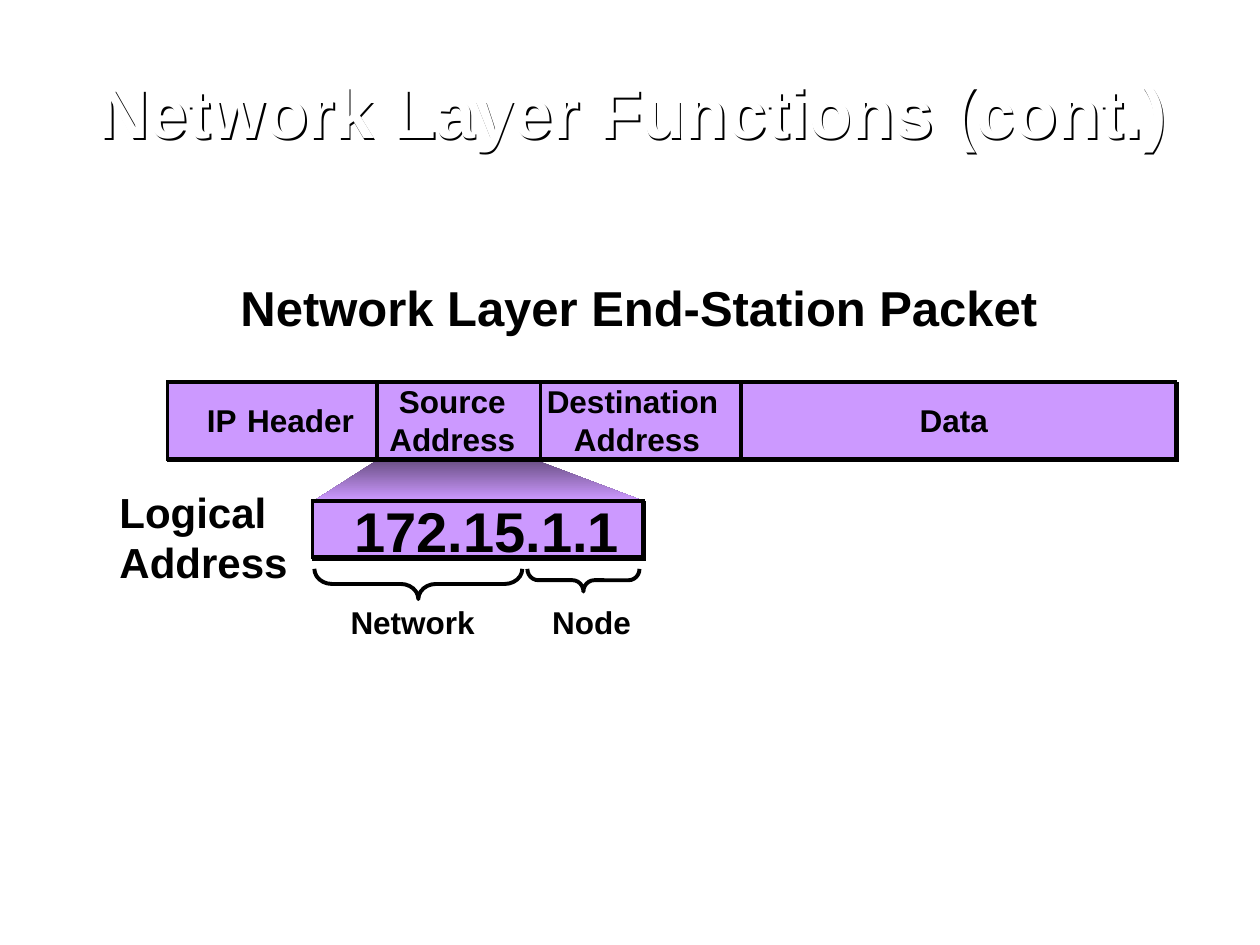
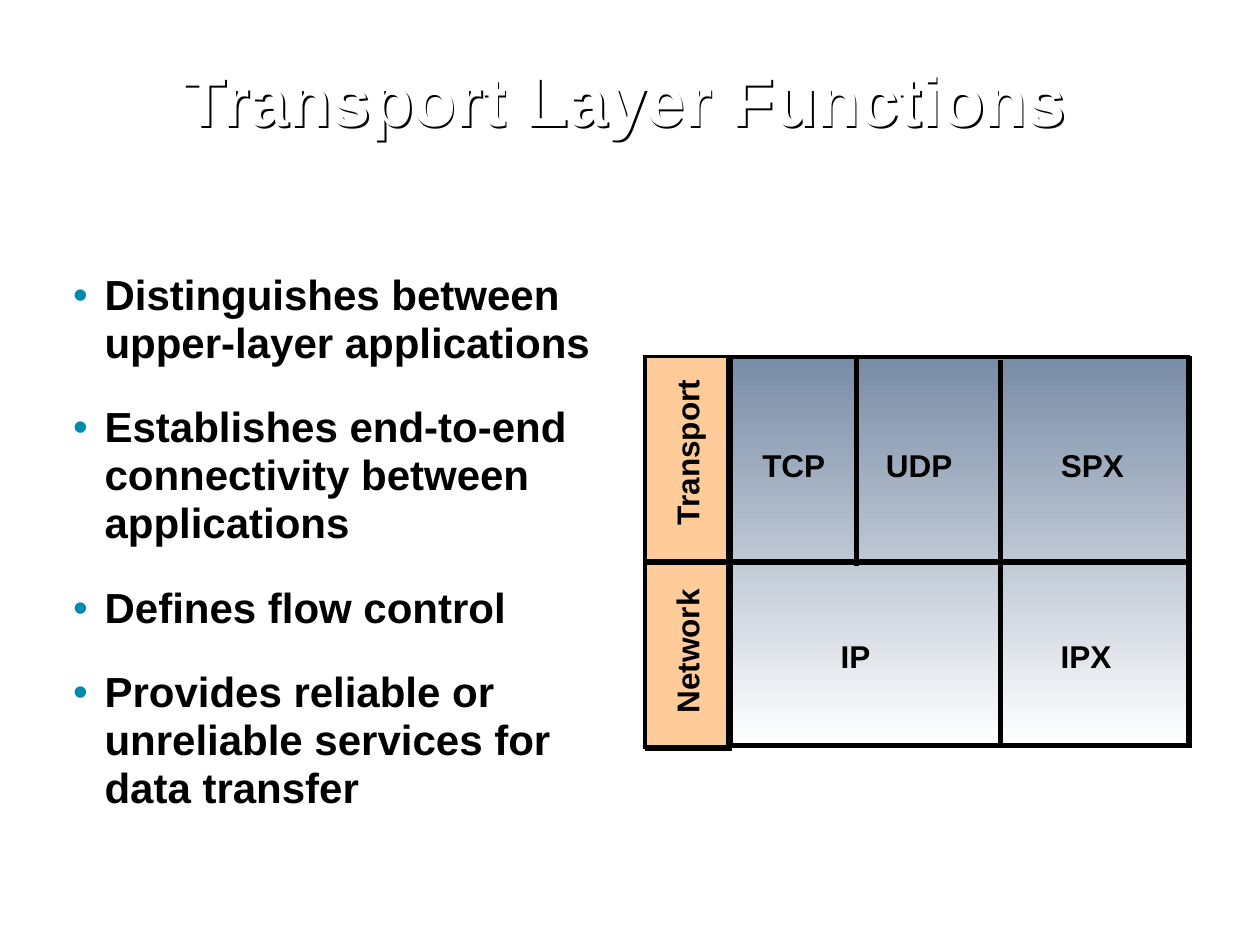
from typing import NamedTuple

import pptx
import pptx.dml.color
import pptx.enum.shapes
import pptx.enum.text
import pptx.oxml
import pptx.oxml.ns
import pptx.util
from pptx.util import Inches

RGBColor = pptx.dml.color.RGBColor
MSO_SHAPE = pptx.enum.shapes.MSO_SHAPE
ALIGN = pptx.enum.text.PP_ALIGN
ANCHOR = pptx.enum.text.MSO_ANCHOR
AUTO_SIZE = pptx.enum.text.MSO_AUTO_SIZE

BLACK = RGBColor(0x00, 0x00, 0x00)
WHITE = RGBColor(0xFF, 0xFF, 0xFF)
PURPLE = RGBColor(0xCC, 0x99, 0xFF)
DARK_PURPLE = RGBColor(0x5E, 0x46, 0x75)
PEACH = RGBColor(0xFF, 0xCC, 0x99)
SLATE = RGBColor(0x79, 0x8C, 0xA6)
TEAL = RGBColor(0x00, 0x8A, 0xAE)
FONT = "Arial"


class Box(NamedTuple):
    left: float
    top: float
    width: float
    height: float

    def inches(self) -> list:
        return [Inches(v) for v in self]


class Label(NamedTuple):
    text: str
    box: Box
    size: int = 18
    align: ALIGN = ALIGN.CENTER
    wrap: bool = False
    rotation: int = 0
    spacing: float = 1.0


class Rule(NamedTuple):
    x1: float
    y1: float
    x2: float
    y2: float


def add_xml(parent, xml: str):
    tag, rest = xml.split(" ", 1) if " " in xml else (xml[:-2], "/>")
    child = pptx.oxml.parse_xml(f"{tag} {pptx.oxml.ns.nsdecls('a')} {rest}")
    parent.append(child)
    return child


def add_shadow(sp) -> None:
    sp.shadow.inherit = False
    effects = sp._element.spPr.find(pptx.oxml.ns.qn("a:effectLst"))
    shadow = add_xml(effects, '<a:outerShdw dist="17961" dir="2700000"/>')
    add_xml(shadow, f'<a:srgbClr val="{BLACK}"/>')


def set_font(p, size: int, color: RGBColor = BLACK) -> None:
    p.font.name = FONT
    p.font.size = pptx.util.Pt(size)
    p.font.bold = True
    p.font.color.rgb = color


def add_title(s, text: str, box: Box) -> None:
    sp = s.shapes.add_textbox(*box.inches())
    add_shadow(sp)
    tf = sp.text_frame
    tf.word_wrap = True
    tf.vertical_anchor = ANCHOR.MIDDLE
    p = tf.paragraphs[0]
    p.text = text
    p.alignment = ALIGN.CENTER
    set_font(p, 40, WHITE)


def add_label(s, label: Label) -> None:
    sp = s.shapes.add_textbox(*label.box.inches())
    sp.rotation = label.rotation
    tf = sp.text_frame
    tf.word_wrap = label.wrap
    tf.auto_size = AUTO_SIZE.SHAPE_TO_FIT_TEXT
    tf.vertical_anchor = ANCHOR.MIDDLE
    p = tf.paragraphs[0]
    p.text = label.text
    p.alignment = label.align
    p.line_spacing = label.spacing
    set_font(p, label.size)


def set_gradient(sp, top: RGBColor, bottom: RGBColor) -> None:
    sp.fill.gradient()
    sp.fill.gradient_angle = 270
    for stop, color in zip(sp.fill.gradient_stops, (top, bottom)):
        stop.color.rgb = color


def set_outline(line, width: float) -> None:
    line.color.rgb = BLACK
    line.width = pptx.util.Pt(width)


def add_panel(s, box: Box, *colors: RGBColor) -> None:
    sp = s.shapes.add_shape(MSO_SHAPE.RECTANGLE, *box.inches())
    if len(colors) == 2:
        set_gradient(sp, *colors)
    else:
        sp.fill.solid()
        sp.fill.fore_color.rgb = colors[0]
    set_outline(sp.line, 2.25)
    add_xml(sp._element.spPr.find(pptx.oxml.ns.qn("a:ln")), '<a:miter lim="800000"/>')
    add_shadow(sp)


def add_rule(s, rule: Rule, width: float) -> None:
    line = s.shapes.add_connector(
        pptx.enum.shapes.MSO_CONNECTOR.STRAIGHT, *[Inches(v) for v in rule]
    )
    set_outline(line.line, width)
    add_xml(line._element.spPr, "<a:effectLst/>")


def add_brace(s, box: Box, curve: float) -> None:
    sp = s.shapes.add_shape(MSO_SHAPE.RIGHT_BRACE, *box.inches())
    sp.rotation = 90
    sp.adjustments[0] = curve
    sp.fill.background()
    set_outline(sp.line, 2.25)
    sp.shadow.inherit = False


def add_funnel(s, points: list[tuple[float, float]]) -> None:
    corners = [(Inches(x), Inches(y)) for x, y in points]
    builder = s.shapes.build_freeform(*corners[0], scale=1.0)
    builder.add_line_segments(corners[1:], close=True)
    sp = builder.convert_to_shape()
    set_gradient(sp, DARK_PURPLE, PURPLE)
    sp.line.fill.background()
    sp.shadow.inherit = False


def add_bullets(s, items: list[str], box: Box) -> None:
    tf = s.shapes.add_textbox(*box.inches()).text_frame
    tf.word_wrap = True
    tf.margin_left = tf.margin_right = tf.margin_top = tf.margin_bottom = 0
    for i, item in enumerate(items):
        p = tf.add_paragraph() if i else tf.paragraphs[0]
        p.text = item
        p.line_spacing = 0.95
        p.space_before = pptx.util.Pt(21 if i else 0)
        pPr = p._p.get_or_add_pPr()
        pPr.set("marL", str(Inches(0.25)))
        pPr.set("indent", str(-Inches(0.25)))
        add_xml(add_xml(pPr, "<a:buClr/>"), f'<a:srgbClr val="{TEAL}"/>')
        add_xml(pPr, f'<a:buFont typeface="{FONT}"/>')
        add_xml(pPr, '<a:buChar char="•"/>')
        set_font(p, 24)


def build_network_slide(s) -> None:
    add_title(s, "Network Layer Functions (cont.)", Box(0.61, 0.44, 8.82, 0.88))
    add_funnel(s, [(3.06, 3.61), (2.5, 3.97), (5.09, 3.97), (4.22, 3.64)])
    add_panel(s, Box(1.33, 3.03, 8, 0.61), PURPLE)
    add_panel(s, Box(2.48, 3.98, 2.62, 0.44), PURPLE)
    for x in (2.99, 4.29, 5.88):
        add_rule(s, Rule(x, 3.04, x, 3.64), 2.25)
    add_brace(s, Box(3.2, 3.81, 0.24, 1.65), 0.58)
    add_brace(s, Box(4.54, 4.16, 0.18, 0.89), 0.48)
    for label in (
        Label("Network Layer End-Station Packet", Box(1.81, 2.15, 6.52, 0.57), 28),
        Label("IP", Box(1.46, 3.13, 0.6, 0.4)),
        Label("Header", Box(1.86, 3.13, 1.05, 0.4)),
        Label("Source\nAddress", Box(2.99, 2.98, 1.2, 0.7)),
        Label("Destination \nAddress", Box(4.24, 2.98, 1.63, 0.7)),
        Label("Data", Box(7.2, 3.13, 0.74, 0.4)),
        Label("172.15.1.1", Box(2.11, 3.89, 3.51, 0.64), 32, wrap=True),
        Label("Logical Address", Box(0.85, 3.81, 1.84, 0.9), 24, ALIGN.LEFT, True),
        Label("Network", Box(2.65, 4.78, 1.25, 0.36), wrap=True, spacing=0.85),
        Label("Node", Box(4.07, 4.78, 1.25, 0.36), wrap=True, spacing=0.85),
    ):
        add_label(s, label)


def build_transport_slide(s) -> None:
    add_title(s, "Transport Layer Functions", Box(0.79, 0.34, 8.34, 0.88))
    add_bullets(
        s,
        [
            "Distinguishes between upper-layer applications",
            "Establishes end-to-end connectivity between applications",
            "Defines flow control",
            "Provides reliable or unreliable services for data transfer",
        ],
        Box(0.58, 2.16, 4.42, 4.3),
    )
    add_panel(s, Box(5.8, 2.83, 3.63, 3.08), SLATE, WHITE)
    add_panel(s, Box(5.12, 2.83, 0.66, 3.1), PEACH)
    for rule in (
        Rule(7.94, 2.86, 7.94, 5.91),
        Rule(6.8, 2.85, 6.8, 4.49),
        Rule(5.13, 4.46, 9.46, 4.46),
    ):
        add_rule(s, rule, 3)
    for label in (
        Label("Transport", Box(4.72, 3.39, 1.46, 0.4), rotation=270),
        Label("Network", Box(4.8, 4.97, 1.3, 0.4), rotation=270),
        Label("TCP", Box(5.95, 3.49, 0.7, 0.4)),
        Label("UDP", Box(6.93, 3.49, 0.73, 0.4)),
        Label("SPX", Box(8.32, 3.49, 0.7, 0.4)),
        Label("IP", Box(6.49, 5.01, 0.6, 0.4)),
        Label("IPX", Box(8.32, 5.01, 0.6, 0.4)),
    ):
        add_label(s, label)


def main() -> None:
    prs = pptx.Presentation()
    prs.slide_width, prs.slide_height = Inches(10), Inches(7.5)
    for build in (build_network_slide, build_transport_slide):
        build(prs.slides.add_slide(prs.slide_layouts[6]))
    prs.save("out.pptx")


if __name__ == "__main__":
    main()
